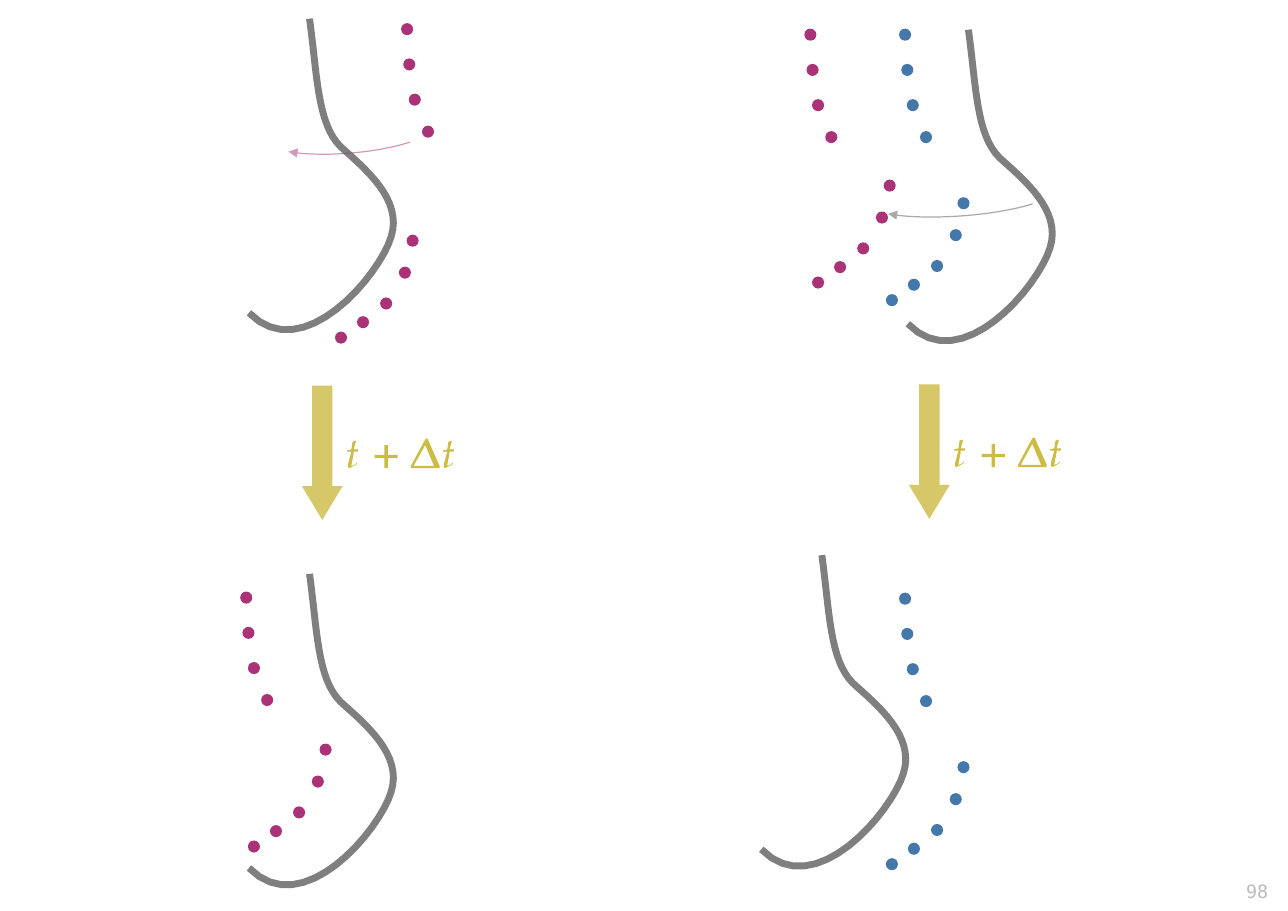
"""Build the slide of two boundaries and their marker points before and after a time step."""
import pptx
import pptx.dml.color
import pptx.enum.shapes
import pptx.enum.text
import pptx.util
from lxml import etree
from pptx.oxml.ns import qn

Inches = pptx.util.Inches
Pt = pptx.util.Pt
MSO_SHAPE = pptx.enum.shapes.MSO_SHAPE
PP_ALIGN = pptx.enum.text.PP_ALIGN

COLORS = {"purple": "AA3377", "blue": "4477AA", "gray": "555555",
          "gold": "CCBB44", "page": "BBBBBB"}

PROFILE_START = (0.55, 0)
PROFILE_CURVES = [
    ((0.62, 0.51), (0.62, 0.95), (0.83, 1.16)),
    ((1.05, 1.36), (1.4, 1.64), (1.29, 1.98)),
    ((1.19, 2.32), (0.49, 3.17), (0, 2.67)),
]
CURVE_STEPS = 16

UPPER_DOTS = [(0, 0), (0.02, 0.32), (0.07, 0.64), (0.19, 0.93)]
LOWER_DOTS = [(0, 0), (-0.07, 0.29), (-0.24, 0.57), (-0.45, 0.74), (-0.65, 0.88)]
DOT_SIZE = 0.11

SCENES = [
    {"profile": (2.26, 0.17), "dots": [("purple", (3.64, 0.21), (3.69, 2.13))]},
    {"profile": (2.26, 5.21), "dots": [("purple", (2.18, 5.37), (2.9, 6.75))]},
    {"profile": (8.24, 0.27), "dots": [("blue", (8.16, 0.26), (8.69, 1.79)),
                                       ("purple", (7.3, 0.26), (8.02, 1.63))]},
    {"profile": (6.91, 5.04), "dots": [("blue", (8.16, 5.38), (8.69, 6.91))]},
]

TIME_STEPS = [(2.74, 3.5), (8.25, 3.49)]
LETTER_T = [[(0.09, 0.21), (0.09, 0.2), (0.07, 0.22), (0.04, 0.23), (0.04, 0.22),
             (0.06, 0.12), (0.06, 0.1), (0.1, 0.1), (0.1, 0.08), (0.06, 0.08),
             (0.08, 0.01), (0.08, 0), (0.05, 0.01), (0.04, 0.08), (0, 0.09), (0, 0.1),
             (0.04, 0.1), (0.01, 0.21), (0.01, 0.24), (0.02, 0.25), (0.08, 0.22)]]
PLUS = [[(0.21, 0.12), (0.21, 0.09), (0.12, 0.09), (0.12, 0), (0.09, 0), (0.09, 0.09),
         (0, 0.09), (0, 0.12), (0.09, 0.12), (0.09, 0.21), (0.12, 0.21), (0.12, 0.12)]]
DELTA = [[(0.13, 0.01), (0, 0.25), (0, 0.27), (0.26, 0.27), (0.26, 0.25), (0.15, 0)],
         [(0.21, 0.25), (0.03, 0.25), (0.03, 0.24), (0.13, 0.06)]]
FORMULA = [(LETTER_T, 0.41, 0.5), (PLUS, 0.66, 0.54), (DELTA, 0.99, 0.48), (LETTER_T, 1.28, 0.5)]

MOTIONS = [
    ("purple", (2.41, 1.02, 1.53, 0.37), 355.1, (8.25, 100.64)),
    ("gray", (7.86, 1.59, 1.73, 0.37), 355.7, (6.57, 102.15)),
]
PAGE_NUMBER = "98"


def rgb(name):
    return pptx.dml.color.RGBColor.from_string(COLORS[name])


def set_opacity(shape, percent):
    color = next(shape._element.iter(qn("a:srgbClr")))
    etree.SubElement(color, qn("a:alpha"), val=str(percent * 1000))


def set_fill(shape, color):
    shape.shadow.inherit = False
    shape.fill.solid()
    shape.fill.fore_color.rgb = rgb(color)
    shape.line.fill.background()


def set_outline(shape, color, width, opacity):
    shape.shadow.inherit = False
    shape.fill.background()
    shape.line.color.rgb = rgb(color)
    shape.line.width = Pt(width)
    set_opacity(shape, opacity)


def add_outline(shapes, contours, left, top, close):
    placed = [[(Inches(left + x), Inches(top + y)) for x, y in contour] for contour in contours]
    builder = shapes.build_freeform(*placed[0][0])
    builder.add_line_segments(placed[0][1:], close=close)
    for contour in placed[1:]:
        builder.move_to(*contour[0])
        builder.add_line_segments(contour[1:], close=close)
    return builder.convert_to_shape()


def bezier(p0, p1, p2, p3, t):
    return tuple((1 - t) ** 3 * a + 3 * (1 - t) ** 2 * t * b + 3 * (1 - t) * t ** 2 * c + t ** 3 * d
                 for a, b, c, d in zip(p0, p1, p2, p3))


def profile_points():
    points = [PROFILE_START]
    for curve in PROFILE_CURVES:
        start = points[-1]
        points += [bezier(start, *curve, step / CURVE_STEPS)
                   for step in range(1, CURVE_STEPS + 1)]
    return points


def add_scene(slide, scene):
    shapes = slide.shapes.add_group_shape().shapes
    profile = add_outline(shapes, [profile_points()], *scene["profile"], close=False)
    set_outline(profile, "gray", 4.5, 75)
    for color, upper, lower in scene["dots"]:
        for (left, top), offsets in ((upper, UPPER_DOTS), (lower, LOWER_DOTS)):
            for dx, dy in offsets:
                box = (left + dx, top + dy, DOT_SIZE, DOT_SIZE)
                set_fill(shapes.add_shape(MSO_SHAPE.OVAL, *map(Inches, box)), color)


def add_time_step(slide, left, top):
    arrow = slide.shapes.add_shape(MSO_SHAPE.DOWN_ARROW, *map(Inches, (left, top, 0.37, 1.22)))
    arrow.adjustments[0] = 0.5
    arrow.adjustments[1] = 0.83
    set_fill(arrow, "gold")
    set_opacity(arrow, 80)
    formula = slide.shapes.add_group_shape().shapes
    for contours, dx, dy in FORMULA:
        set_fill(add_outline(formula, contours, left + dx, top + dy, close=True), "gold")


def add_motion(slide, color, box, rotation, angles):
    arc = slide.shapes.add_shape(MSO_SHAPE.ARC, *map(Inches, box))
    arc.rotation = rotation
    arc.adjustments[0], arc.adjustments[1] = angles
    set_outline(arc, color, 0.79, 50)
    etree.SubElement(arc.line._get_or_add_ln(), qn("a:tailEnd"), type="triangle")


def add_page_number(slide):
    box = slide.shapes.add_textbox(*map(Inches, (10.61, 7.94, 1, 0.29)))
    box.text_frame.word_wrap = True
    number = box.text_frame.paragraphs[0]
    number.text = PAGE_NUMBER
    number.alignment = PP_ALIGN.RIGHT
    number.font.name = "DejaVu Sans Mono"
    number.font.size = Pt(12)
    number.font.color.rgb = rgb("page")


def main():
    deck = pptx.Presentation()
    deck.slide_width = Inches(11.69)
    deck.slide_height = Inches(8.27)
    slide = deck.slides.add_slide(deck.slide_layouts[6])
    add_page_number(slide)
    for scene in SCENES:
        add_scene(slide, scene)
    for left, top in TIME_STEPS:
        add_time_step(slide, left, top)
    for motion in MOTIONS:
        add_motion(slide, *motion)
    deck.save("out.pptx")


if __name__ == "__main__":
    main()
